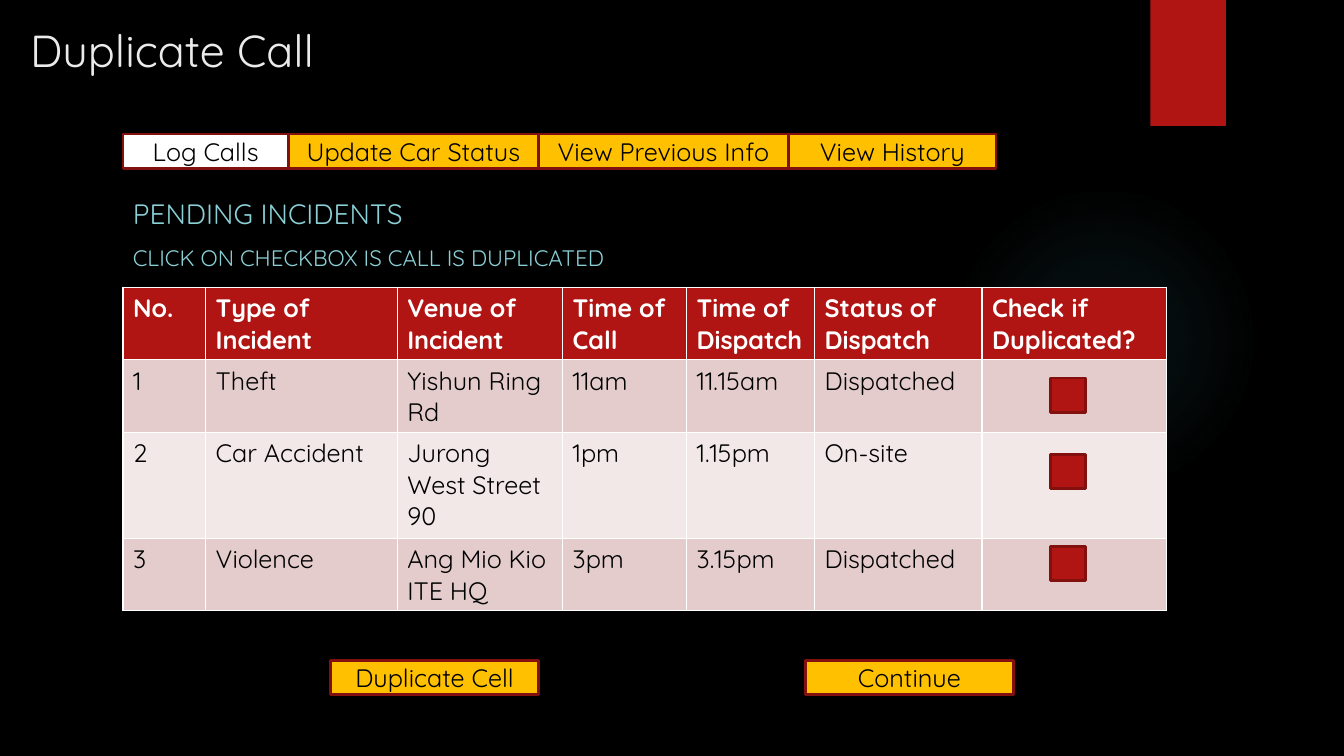
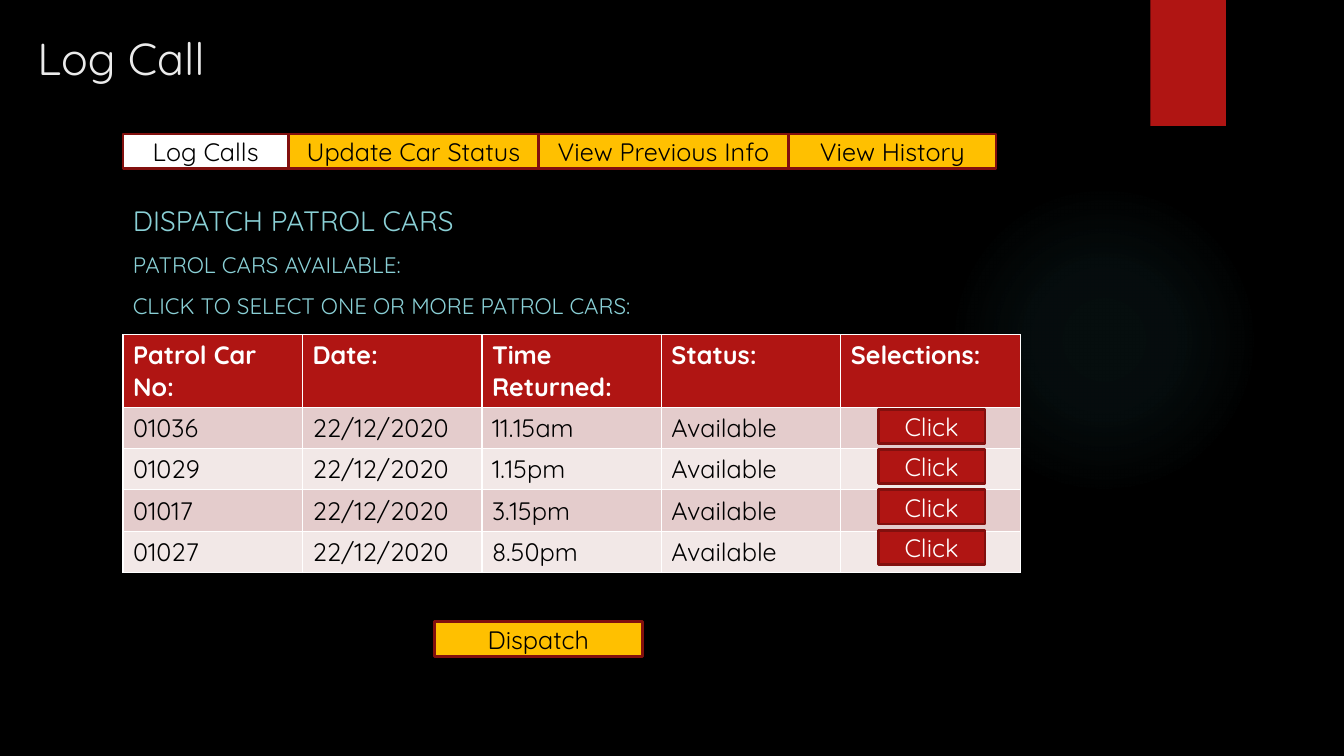
from pptx import Presentation
from pptx.dml.color import RGBColor
from pptx.enum.shapes import MSO_SHAPE
from pptx.enum.text import MSO_ANCHOR, MSO_AUTO_SIZE, PP_ALIGN
from pptx.oxml import parse_xml
from pptx.oxml.ns import nsdecls
from pptx.util import Inches, Pt

RECTANGLE, OVAL = MSO_SHAPE.RECTANGLE, MSO_SHAPE.OVAL
MIDDLE, BOTTOM = MSO_ANCHOR.MIDDLE, MSO_ANCHOR.BOTTOM
LEFT, CENTER = PP_ALIGN.LEFT, PP_ALIGN.CENTER
NO_AUTOFIT = MSO_AUTO_SIZE.NONE

FONT = "Quicksand"
COLORS = {
    "black": "000000", "white": "FFFFFF", "title": "EBEBEB", "heading": "8AD0D6",
    "red": "B01513", "outline": "82100E", "amber": "FFC000", "glow": "50B9C1",
    "odd_row": "E4CCCC", "even_row": "F2E8E7",
}
CONTENT_LEFT = 1.22
BUTTON_HEIGHT = 0.34
BUTTON_WIDTH = 2.06
NAVIGATION_TOP = 1.33
NAVIGATION = [("Log Calls", 1.64), ("Update Car Status", 2.48),
              ("View Previous Info", 2.48), ("View History", 2.06)]
GLOW_STOPS = [(0, 7), (36, 6), (69, 0)]

INCIDENTS = [
    ["No.", "Type of Incident", "Venue of Incident", "Time of Call",
     "Time of Dispatch", "Status of Dispatch", "Check if Duplicated?"],
    ["1", "Theft", "Yishun Ring Rd", "11am", "11.15am", "Dispatched", ""],
    ["2", "Car Accident", "Jurong West Street 90", "1pm", "1.15pm", "On-site", ""],
    ["3", "Violence", "Ang Mio Kio ITE HQ", "3pm", "3.15pm", "Dispatched", ""],
]
PATROL_CARS = [["Patrol Car No:", "Date:", "Time Returned:", "Status:", "Selections:"]] + [
    [number, "22/12/2020", time, "Available", ""]
    for number, time in [("01036", "11.15am"), ("01029", "1.15pm"),
                         ("01017", "3.15pm"), ("01027", "8.50pm")]
]


def color(name):
    return RGBColor.from_string(COLORS[name])


def format_paragraph(para, size, color_name, bold=False, align=LEFT):
    para.alignment = align
    for span in para.runs:
        span.font.name = FONT
        span.font.size = Pt(size)
        span.font.bold = bold
        span.font.color.rgb = color(color_name)


def add_box(slide, left, top, width, height, fill="red", outline=None, kind=RECTANGLE):
    box = slide.shapes.add_shape(kind, Inches(left), Inches(top), Inches(width), Inches(height))
    box.shadow.inherit = False
    box.fill.solid()
    box.fill.fore_color.rgb = color(fill)
    if outline:
        box.line.color.rgb = color(outline)
        box.line.width = Pt(2)
    else:
        box.line.fill.background()
    return box


def add_button(slide, text, left, top, width=BUTTON_WIDTH, fill="amber", text_color="black"):
    box = add_box(slide, left, top, width, BUTTON_HEIGHT, fill, "outline")
    frame = box.text_frame
    frame.text = text
    frame.vertical_anchor = MIDDLE
    format_paragraph(frame.paragraphs[0], 18, text_color, align=CENTER)


def add_glow(slide):
    glow = add_box(slide, 9.41, 1.83, 3.08, 3.08, "glow", kind=OVAL)
    stops = "".join(
        f'<a:gs pos="{position * 1000}"><a:srgbClr val="{COLORS["glow"]}">'
        f'<a:alpha val="{opacity * 1000}"/></a:srgbClr></a:gs>'
        for position, opacity in GLOW_STOPS
    )
    gradient = parse_xml(
        f'<a:gradFill {nsdecls("a")} rotWithShape="1"><a:gsLst>{stops}</a:gsLst>'
        '<a:path path="circle"><a:fillToRect l="50000" t="50000" r="50000" b="50000"/>'
        '</a:path></a:gradFill>'
    )
    properties = glow.element.spPr
    properties.replace(properties.find("{*}solidFill"), gradient)


def add_navigation(slide, active):
    left = CONTENT_LEFT
    for text, width in NAVIGATION:
        fill = "white" if text == active else "amber"
        add_button(slide, text, left, NAVIGATION_TOP, width, fill)
        left += width


def add_page(deck, title, left, top, width):
    slide = deck.slides.add_slide(deck.slide_layouts[5])
    add_glow(slide)
    add_box(slide, 11.41, 0, 0.75, 1.25)
    box = slide.shapes.title
    box.left, box.top, box.width, box.height = map(Inches, (left, top, width, 0.58))
    frame = box.text_frame
    frame.text = title
    frame.auto_size = NO_AUTOFIT
    frame.vertical_anchor = BOTTOM
    format_paragraph(frame.paragraphs[0], 32, "title")
    add_navigation(slide, "Log Calls")
    return slide


def add_headings(slide, lines, top, height):
    box = slide.shapes.add_textbox(
        Inches(CONTENT_LEFT), Inches(top), Inches(9.65), Inches(height))
    frame = box.text_frame
    frame.word_wrap = True
    frame.text = "\n".join(lines)
    for index, para in enumerate(frame.paragraphs):
        para.space_before = Pt(10)
        format_paragraph(para, 16 if index else 20, "heading")


def add_data_table(slide, rows, top, column_widths, row_heights):
    table = slide.shapes.add_table(
        len(rows), len(column_widths), Inches(CONTENT_LEFT), Inches(top),
        Inches(sum(column_widths)), Inches(sum(row_heights))).table
    for column, width in zip(table.columns, column_widths):
        column.width = Inches(width)
    for index, (row, height, texts) in enumerate(zip(table.rows, row_heights, rows)):
        row.height = Inches(height)
        header = index == 0
        fill = "red" if header else "odd_row" if index % 2 else "even_row"
        for cell, text in zip(row.cells, texts):
            cell.fill.solid()
            cell.fill.fore_color.rgb = color(fill)
            if text:
                cell.text = text
                format_paragraph(cell.text_frame.paragraphs[0], 18,
                                 "white" if header else "black", header)


def build_duplicate_call(deck):
    slide = add_page(deck, "Duplicate Call", 0.2, 0.23, 3.31)
    add_headings(slide, ["PENDING INCIDENTS", "CLICK ON CHECKBOX IS CALL IS DUPLICATED"],
                 1.9, 0.94)
    add_data_table(slide, INCIDENTS, 2.85, [0.82, 1.9, 1.64, 1.23, 1.27, 1.66, 1.83],
                   [0.72, 0.72, 1.05, 0.72])
    for top in (3.75, 4.51, 5.42):
        add_box(slide, 10.42, top, 0.35, 0.34, outline="outline")
    add_button(slide, "Duplicate Cell", 3.28, 6.55)
    add_button(slide, "Continue", 7.99, 6.55)


def build_log_call(deck):
    slide = add_page(deck, "Log Call", 0.27, 0.31, 4.82)
    add_headings(slide, ["DISPATCH PATROL CARS", "PATROL CARS AVAILABLE:",
                         "CLICK TO SELECT ONE OR MORE PATROL CARS:"], 1.97, 1.3)
    cars = len(PATROL_CARS) - 1
    add_data_table(slide, PATROL_CARS, 3.32, [1.78] * 5, [0.72] + [0.41] * cars)
    for index in range(cars):
        add_button(slide, "Click", 8.71, 4.06 + 0.4 * index, 1.06, "red", "white")
    add_button(slide, "Dispatch", 4.31, 6.17)


def main():
    deck = Presentation()
    deck.slide_width, deck.slide_height = Inches(13.33), Inches(7.5)
    background = deck.slide_master.background.fill
    background.solid()
    background.fore_color.rgb = color("black")
    build_duplicate_call(deck)
    build_log_call(deck)
    deck.save("out.pptx")


if __name__ == "__main__":
    main()
